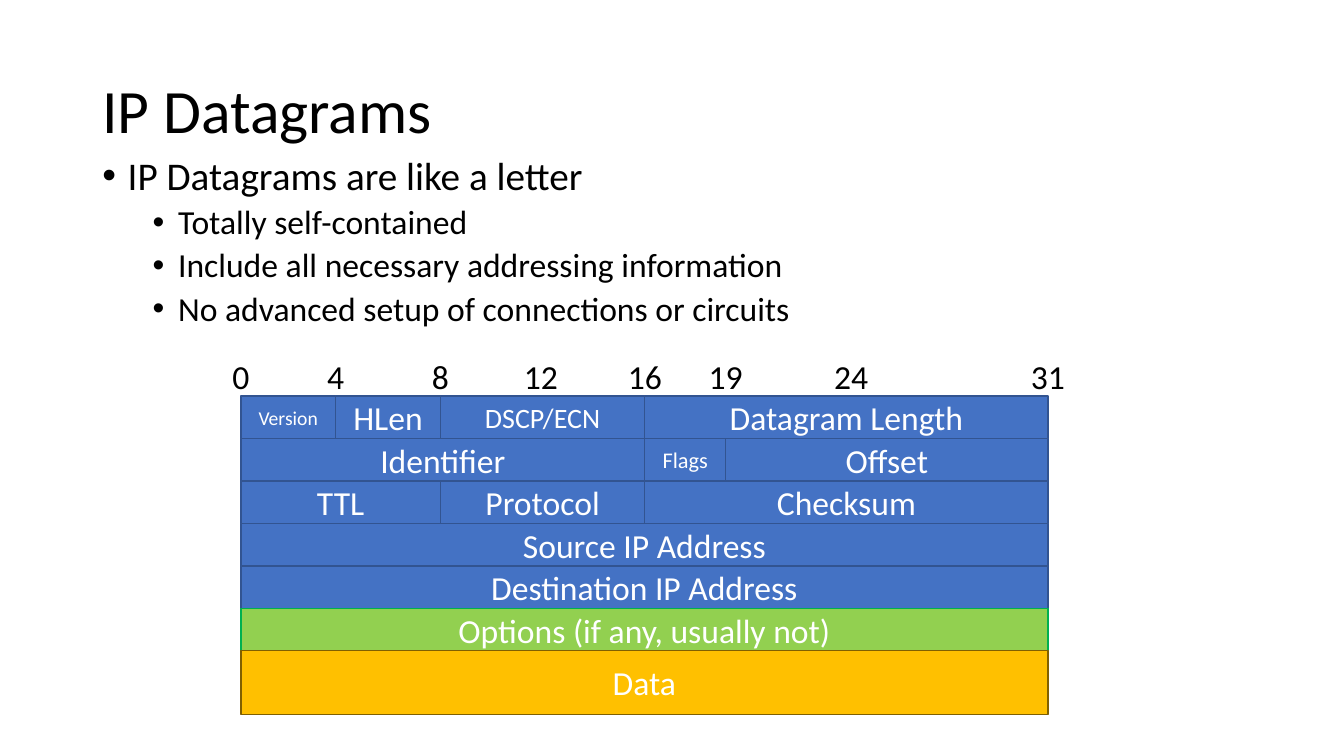
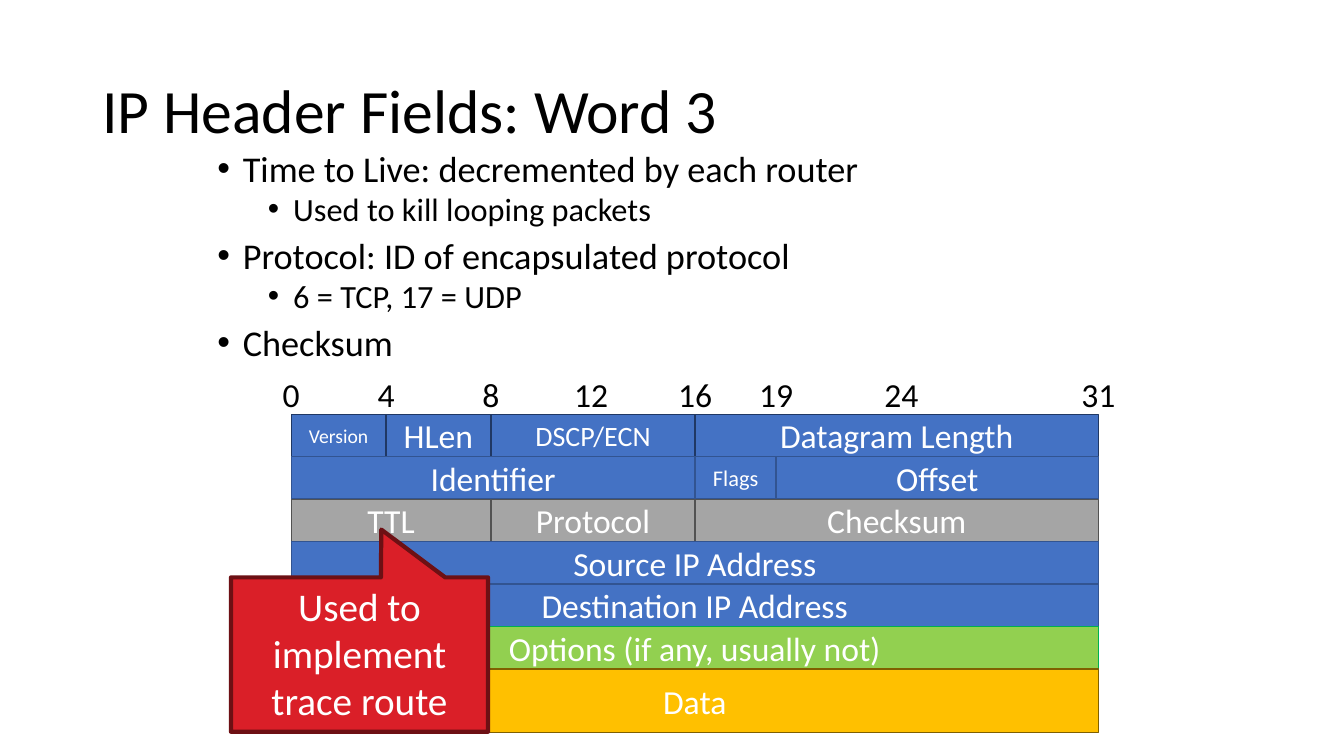
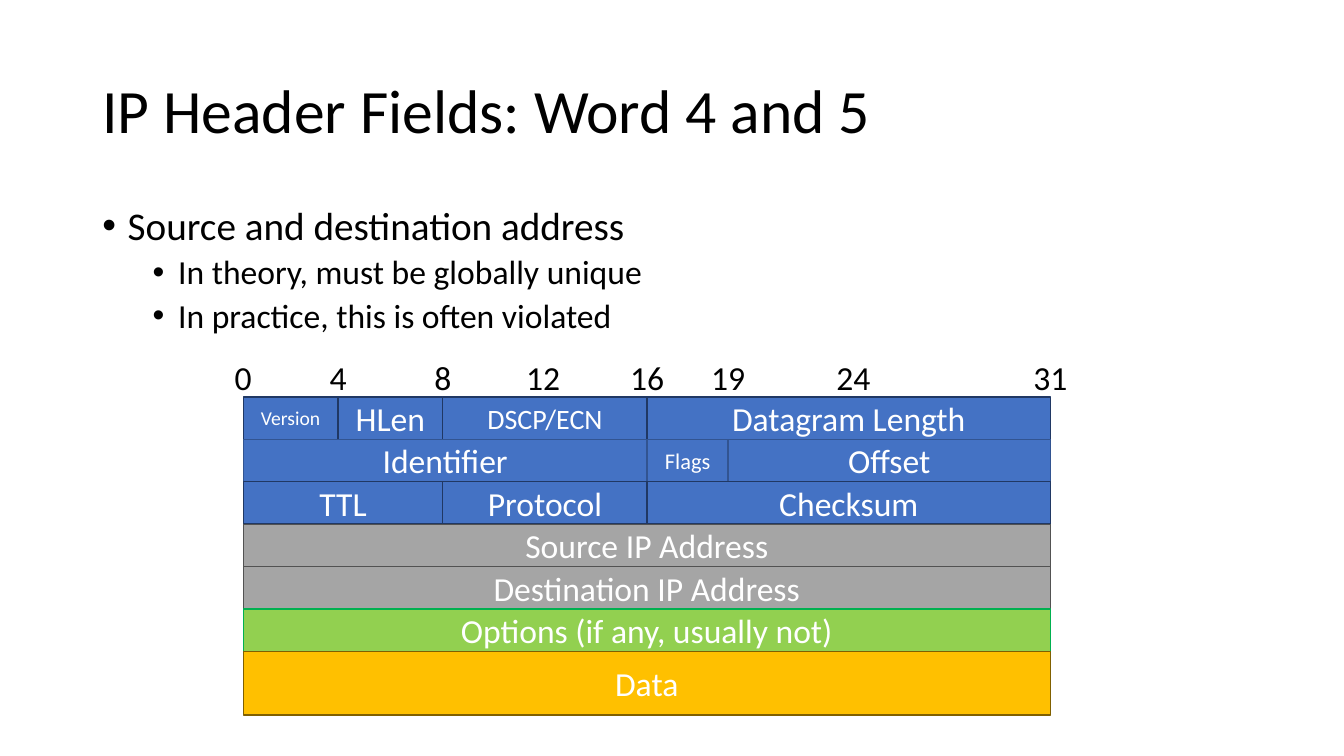
import dataclasses

import lxml.etree
import pptx
import pptx.dml.color
import pptx.enum.shapes
import pptx.enum.text
import pptx.oxml.ns
import pptx.util

Cm = pptx.util.Cm
Pt = pptx.util.Pt
Color = pptx.dml.color.RGBColor.from_string
Shapes = pptx.enum.shapes.MSO_SHAPE
Align = pptx.enum.text.PP_ALIGN
Anchor = pptx.enum.text.MSO_ANCHOR


@dataclasses.dataclass(frozen=True)
class Theme:
    font: str = "Calibri"
    ink: str = "000000"
    paper: str = "FFFFFF"
    title_size: float = 44
    label_size: float = 24
    callout_size: float = 28


THEME = Theme()

# Fill and outline of each kind of box
BOX_COLORS = {
    "field": ("4472C4", "325491"),
    "outlined": ("4472C4", "203864"),
    "highlight": ("A5A5A5", "525252"),
    "options": ("92D050", "00B050"),
    "data": ("FFC000", "806000"),
    "callout": ("DA1F28", "6D1014"),
}

# Distance of each bit mark from the left edge of the datagram, in cm
BIT_X = {0: 0, 4: 2.39, 8: 5.03, 12: 7.56, 16: 10.18, 19: 12.22, 24: 15.38, 31: 20.34}
ROW_HEIGHT = 1.07
DATA_HEIGHT = 1.6
LABEL_WIDTH, LABEL_HEIGHT, LABEL_RISE = 1.65, 1.68, 1.35

# Rows of the datagram: (text, first bit, last bit, type size)
DATAGRAM_ROWS = [
    [("Version", 0, 4, 14), ("HLen", 4, 8, 24), ("DSCP/ECN", 8, 16, 20), ("Datagram Length", 16, 31, 24)],
    [("Identifier", 0, 16, 24), ("Flags", 16, 19, 16), ("Offset", 19, 31, 24)],
    [("TTL", 0, 8, 24), ("Protocol", 8, 16, 24), ("Checksum", 16, 31, 24)],
    [("Source IP Address", 0, 31, 24)],
    [("Destination IP Address", 0, 31, 24)],
    [("Options (if any, usually not)", 0, 31, 24)],
    [("Data", 0, 31, 24)],
]

# "body" is left, top, width, height; "bullets" are (level, text)
SLIDES = [
    {
        "title": "IP Datagrams",
        "body": (2.33, 3.81, 29.21, 13.36),
        "bullet_sizes": (28, 24),
        "line_spacing": 0.9,
        "bullets": [
            (0, "IP Datagrams are like a letter"),
            (1, "Totally self-contained"),
            (1, "Include all necessary addressing information"),
            (1, "No advanced setup of connections or circuits"),
        ],
        "datagram": (6.07, 9.98),
        "row_kinds": ["field"] * 5,
    },
    {
        "title": "IP Header Fields: Word 3",
        "body": (5.23, 3.78, 24.56, 5.72),
        "bullet_sizes": (25.9, 23.1),
        "line_spacing": 0.8,
        "bullets": [
            (0, "Time to Live: decremented by each router"),
            (1, "Used to kill looping packets"),
            (0, "Protocol: ID of encapsulated protocol"),
            (1, "6 = TCP, 17 = UDP"),
            (0, "Checksum"),
        ],
        "datagram": (7.34, 10.44),
        "row_kinds": ["outlined", "field", "highlight", "field", "field"],
        "callout": "Used to implement trace route",
    },
    {
        "title": "IP Header Fields: Word 4 and 5",
        "body": (2.33, 5.08, 29.21, 12.09),
        "bullet_sizes": (28, 24),
        "line_spacing": 0.9,
        "bullets": [
            (0, "Source and destination address"),
            (1, "In theory, must be globally unique"),
            (1, "In practice, this is often violated"),
        ],
        "datagram": (6.13, 10),
        "row_kinds": ["outlined", "field", "outlined", "highlight", "highlight"],
    },
]


def add_text(slide, box, text, size, align=Align.CENTER, anchor=Anchor.MIDDLE, color=THEME.ink, shape=None):
    """Write text into the given shape, or into a new text box at box (cm)."""
    shape = shape or slide.shapes.add_textbox(*map(Cm, box))
    text_frame = shape.text_frame
    text_frame.word_wrap = True
    text_frame.vertical_anchor = anchor
    text_frame.text = text
    for paragraph in text_frame.paragraphs:
        paragraph.alignment = align
        for run in paragraph.runs:
            run.font.name = THEME.font
            run.font.size = Pt(size)
            run.font.color.rgb = Color(color)
    return shape


def add_box(slide, box, text, size, kind, preset=Shapes.RECTANGLE, line_width=1, anchor=Anchor.MIDDLE):
    """Add a filled and outlined shape with white text."""
    fill, line = BOX_COLORS[kind]
    shape = slide.shapes.add_shape(preset, *map(Cm, box))
    shape.shadow.inherit = False
    shape.fill.solid()
    shape.fill.fore_color.rgb = Color(fill)
    shape.line.color.rgb = Color(line)
    shape.line.width = Pt(line_width)
    return add_text(slide, box, text, size, anchor=anchor, color=THEME.paper, shape=shape)


presentation = pptx.Presentation()
presentation.slide_width = Cm(33.87)
presentation.slide_height = Cm(19.05)

for content in SLIDES:
    slide = presentation.slides.add_slide(presentation.slide_layouts[6])

    title = add_text(slide, (2.33, 1.02, 29.21, 3.68), content["title"], THEME.title_size, Align.LEFT)
    title.text_frame.paragraphs[0].line_spacing = 0.9

    bullets = content["bullets"]
    body = add_text(slide, content["body"], "\n".join(text for level, text in bullets),
                    content["bullet_sizes"][0], Align.LEFT, Anchor.TOP)
    for paragraph, (level, text) in zip(body.text_frame.paragraphs, bullets):
        paragraph.level = level
        paragraph.line_spacing = content["line_spacing"]
        paragraph.space_before = Pt((10, 5)[level])
        paragraph.runs[0].font.size = Pt(content["bullet_sizes"][level])
        properties = paragraph._p.get_or_add_pPr()
        properties.set("marL", str(Cm((0.64, 1.91)[level])))
        properties.set("indent", str(Cm(-0.64)))
        lxml.etree.SubElement(properties, pptx.oxml.ns.qn("a:buFont"), typeface="Arial")
        lxml.etree.SubElement(properties, pptx.oxml.ns.qn("a:buChar"), char="•")

    left, top = content["datagram"]
    for bit, x in BIT_X.items():
        label_box = (left + x - LABEL_WIDTH / 2, top - LABEL_RISE, LABEL_WIDTH, LABEL_HEIGHT)
        add_text(slide, label_box, str(bit), THEME.label_size)

    row_kinds = content["row_kinds"] + ["options", "data"]
    for row, (fields, kind) in enumerate(zip(DATAGRAM_ROWS, row_kinds)):
        height = DATA_HEIGHT if kind == "data" else ROW_HEIGHT
        for text, first, last, size in fields:
            field_box = (left + BIT_X[first], top + row * ROW_HEIGHT, BIT_X[last] - BIT_X[first], height)
            add_box(slide, field_box, text, size, kind)

    if "callout" in content:
        callout = add_box(slide, (5.82, 14.55, 6.48, 3.89), content["callout"], THEME.callout_size,
                          "callout", Shapes.RECTANGULAR_CALLOUT, 3, Anchor.TOP)
        callout.adjustments[0] = 0.085
        callout.adjustments[1] = -0.81

presentation.save("out.pptx")
